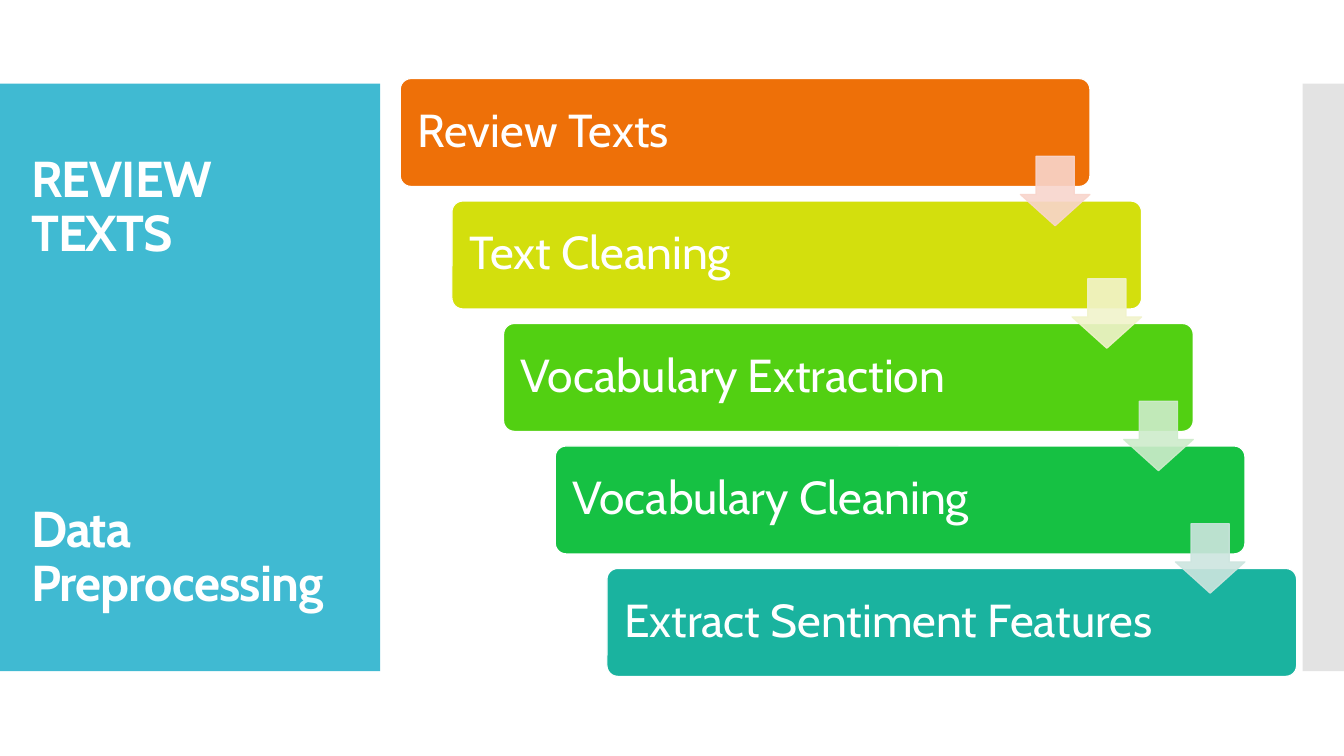
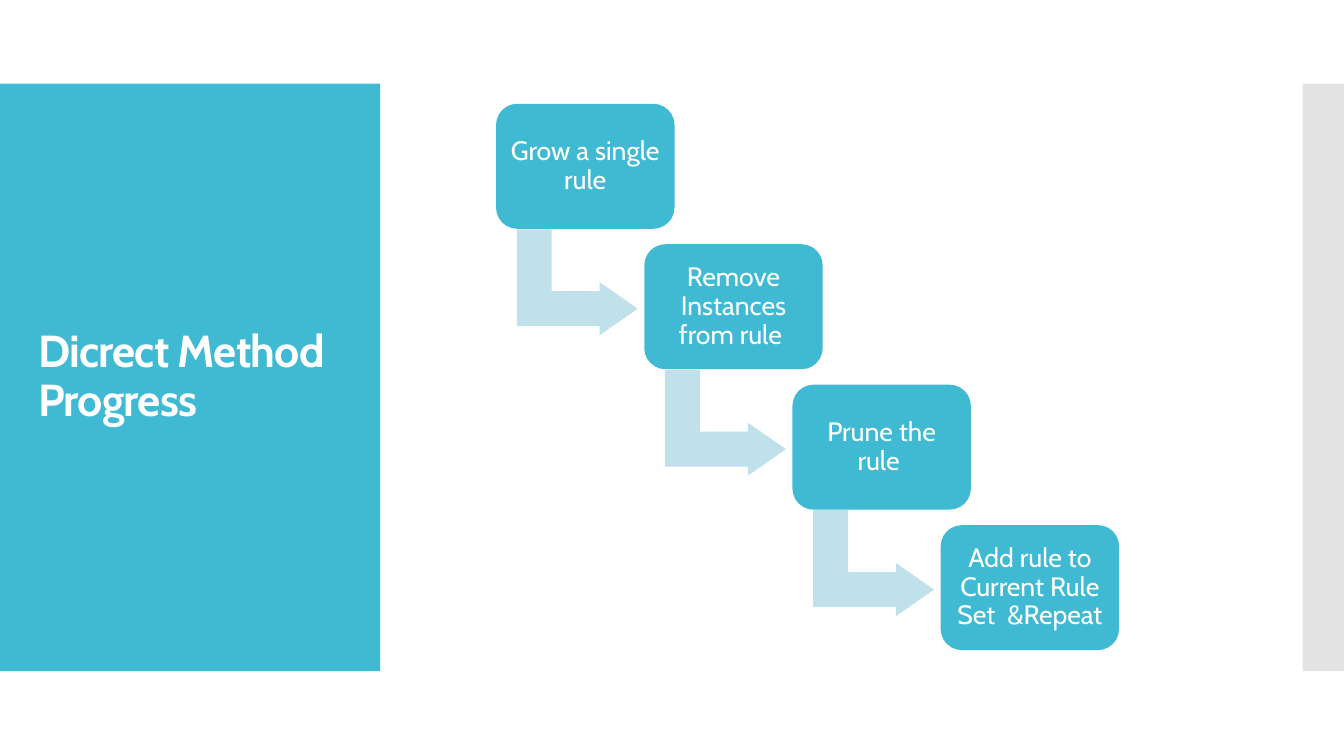
from dataclasses import dataclass

from lxml import etree
from pptx import Presentation
from pptx.dml.color import RGBColor
from pptx.enum.shapes import MSO_SHAPE
from pptx.enum.text import MSO_ANCHOR, PP_ALIGN
from pptx.oxml.ns import qn
from pptx.util import Inches, Pt

RECT = MSO_SHAPE.RECTANGLE
ROUNDED = MSO_SHAPE.ROUNDED_RECTANGLE
DOWN_ARROW = MSO_SHAPE.DOWN_ARROW
BENT_ARROW = MSO_SHAPE.BENT_UP_ARROW
MIDDLE = MSO_ANCHOR.MIDDLE
LEFT = PP_ALIGN.LEFT
CENTER = PP_ALIGN.CENTER
BLANK_LAYOUT = 6


@dataclass(frozen=True)
class Theme:
    font: str = "Cabin"
    white: str = "FFFFFF"
    accent: str = "40BAD2"
    side_band: str = "C8C8C8"
    bent_arrow: str = "C0E0EA"
    stages: tuple = ("EE7008", "D3DF0D", "52D012", "16C143", "1AB39F")
    stage_arrows: tuple = ("F8D5CC", "F1F3CB", "CEECCB", "CDE5DF")
    heading_size: int = 36
    title_size: int = 32
    stage_size: int = 33
    step_size: int = 19
    outline: float = 0.85
    line_spacing: float = 0.9
    title_tracking: int = -60


def staircase(first, last, count):
    return [
        tuple(a + (b - a) * i / (count - 1) for a, b in zip(first, last))
        for i in range(count)
    ]


class Deck:
    def __init__(self, theme):
        self.theme = theme
        self.prs = Presentation()
        self.prs.slide_width = Inches(13.33)
        self.prs.slide_height = Inches(7.5)
        self.slide = None

    def add_slide(self):
        layout = self.prs.slide_layouts[BLANK_LAYOUT]
        self.slide = self.prs.slides.add_slide(layout)
        self.shape(RECT, (0, 0.83, 3.77, 5.83), self.theme.accent)
        self.shape(RECT, (12.92, 0.83, 0.41, 5.83), self.theme.side_band, opacity=50)

    def shape(self, kind, box, fill, line=None, opacity=100, adjust=(), rotation=0):
        sp = self.slide.shapes.add_shape(kind, *map(Inches, box))
        sp.shadow.inherit = False
        sp.rotation = rotation
        for i, value in enumerate(adjust):
            sp.adjustments[i] = value
        sp.fill.solid()
        sp.fill.fore_color.rgb = RGBColor.from_string(fill)
        if line:
            sp.line.color.rgb = RGBColor.from_string(line)
            sp.line.width = Pt(self.theme.outline)
        else:
            sp.line.fill.background()
        if opacity < 100:
            for color in list(sp._element.iter(qn("a:srgbClr"))):
                etree.SubElement(color, qn("a:alpha"), val=str(opacity * 1000))
        return sp

    def set_text(self, tf, paragraphs, size, align=LEFT, bold=False):
        tf.word_wrap = True
        tf.vertical_anchor = MIDDLE
        for i, text in enumerate(paragraphs):
            p = tf.add_paragraph() if i else tf.paragraphs[0]
            p.text = text
            p.alignment = align
            p.line_spacing = self.theme.line_spacing
            p.font.name = self.theme.font
            p.font.size = Pt(size)
            p.font.bold = bold
            p.font.color.rgb = RGBColor.from_string(self.theme.white)

    def title(self, box, paragraphs, size):
        tf = self.slide.shapes.add_textbox(*map(Inches, box)).text_frame
        self.set_text(tf, paragraphs, size, bold=True)
        for p in tf.paragraphs:
            props = p._p.get_or_add_pPr().get_or_add_defRPr()
            props.set("spc", str(self.theme.title_tracking))

    def card(self, box, text, fill, size, inset, corner, align=LEFT, line=None):
        sp = self.shape(ROUNDED, box, fill, line, adjust=(corner,))
        tf = sp.text_frame
        tf.margin_left = tf.margin_right = Inches(inset)
        tf.margin_top = tf.margin_bottom = Inches(inset)
        self.set_text(tf, [text], size, align)

    def save(self):
        self.prs.save("out.pptx")


def preprocessing_slide(deck):
    theme = deck.theme
    deck.add_slide()
    deck.title((0.21, 4.76, 3.22, 1.55), ["Data\nPreprocessing"], theme.heading_size)
    deck.title((0.21, 1.29, 3.22, 1.55), ["REVIEW", "TEXTS"], theme.heading_size)

    stages = [
        "Review Texts",
        "Text Cleaning",
        "Vocabulary Extraction",
        "Vocabulary Cleaning",
        "Extract Sentiment Features",
    ]
    corners = staircase((3.97, 0.78), (6.02, 5.64), len(stages))
    for (x, y), text, fill in zip(corners, stages, theme.stages):
        deck.card((x, y, 6.84, 1.07), text, fill, theme.stage_size,
                  inset=0.14, corner=0.1, line=theme.white)
    for (x, y), fill in zip(corners, theme.stage_arrows):
        deck.shape(DOWN_ARROW, (x + 6.15, y + 0.77, 0.69, 0.69), fill,
                   line=fill, opacity=90, adjust=(0.55, 0.45))


def direct_method_slide(deck):
    theme = deck.theme
    deck.add_slide()
    deck.title((0.28, 1.23, 3.22, 5.03), ["Dicrect Method Progress"], theme.title_size)

    steps = [
        "Grow a single rule",
        "Remove Instances from rule ",
        "Prune the rule ",
        "Add rule to Current Rule Set  &Repeat",
    ]
    corners = staircase((4.92, 1.03), (9.33, 5.21), len(steps))
    for x, y in corners[:-1]:
        deck.shape(BENT_ARROW, (x + 0.28, y + 1.17, 1.05, 1.2), theme.bent_arrow,
                   adjust=(0.33, 0.25, 0.36), rotation=90)
    for (x, y), text in zip(corners, steps):
        deck.card((x, y, 1.77, 1.24), text, theme.accent, theme.step_size,
                  inset=0.08, corner=0.17, align=CENTER)


def main():
    deck = Deck(Theme())
    preprocessing_slide(deck)
    direct_method_slide(deck)
    deck.save()


if __name__ == "__main__":
    main()
